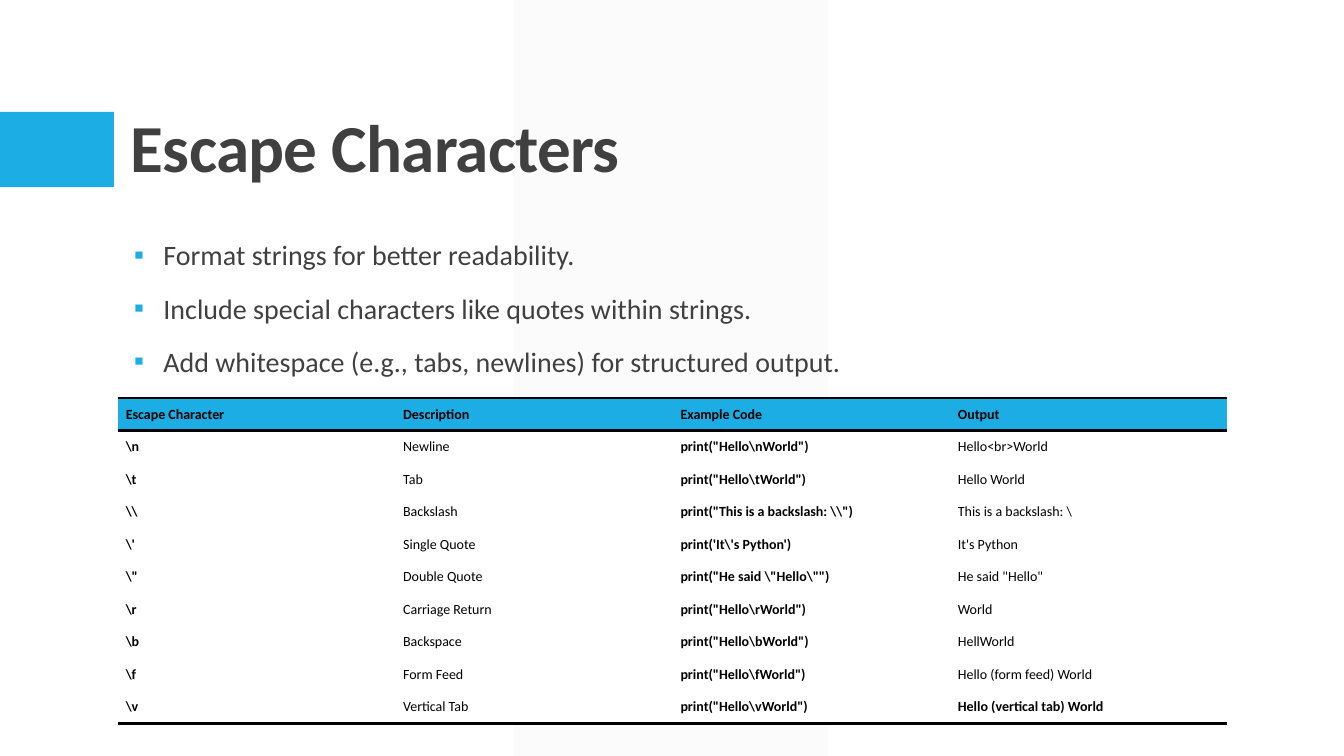
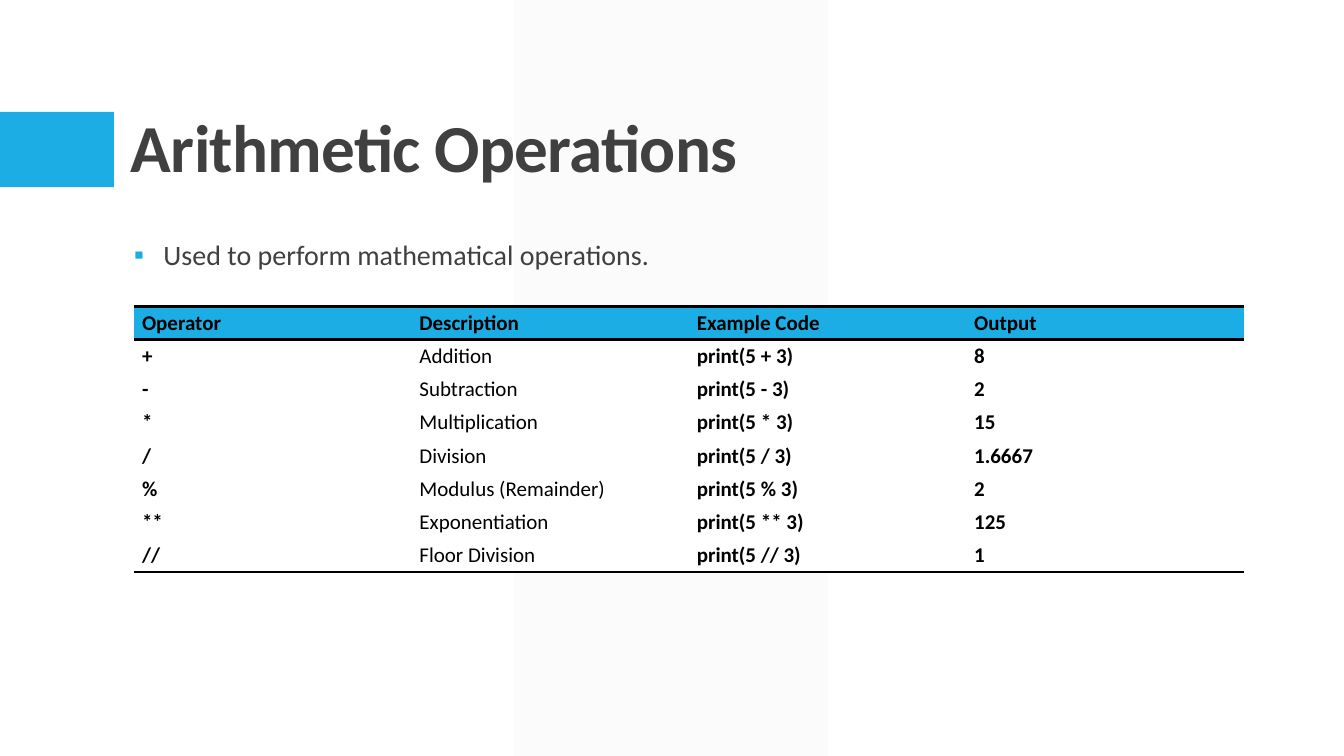
"""Build two slides on Python escape characters and arithmetic operators."""
from lxml import etree
from pptx import Presentation
from pptx import util as u
from pptx.dml.color import RGBColor
from pptx.enum import shapes, text
from pptx.oxml import ns

FONT = "Calibri"
ACCENT = RGBColor(0x1C, 0xAD, 0xE4)
BAND = RGBColor(0xF2, 0xF2, 0xF2)
INK = RGBColor(0x40, 0x40, 0x40)
BLACK = RGBColor(0, 0, 0)
WHITE = RGBColor(0xFF, 0xFF, 0xFF)

SLIDE_WIDTH, SLIDE_HEIGHT = u.Cm(33.87), u.Cm(19.05)
COLUMN_WIDTH = u.Cm(6.99)
PLAIN_TABLE_STYLE = "{2D5ABB26-0587-4C30-8999-92F81FD0307C}"

ESCAPES = [
    ("Escape Character", "Description", "Example Code", "Output"),
    (r"\n", "Newline", r'print("Hello\nWorld")', "Hello<br>World"),
    (r"\t", "Tab", r'print("Hello\tWorld")', "Hello World"),
    (r"\\", "Backslash", r'print("This is a backslash: \\")', "This is a backslash: \\"),
    (r"\'", "Single Quote", r"print('It\'s Python')", "It's Python"),
    (r'\"', "Double Quote", r'print("He said \"Hello\"")', 'He said "Hello"'),
    (r"\r", "Carriage Return", r'print("Hello\rWorld")', "World"),
    (r"\b", "Backspace", r'print("Hello\bWorld")', "HellWorld"),
    (r"\f", "Form Feed", r'print("Hello\fWorld")', "Hello (form feed) World"),
    (r"\v", "Vertical Tab", r'print("Hello\vWorld")', "Hello (vertical tab) World"),
]
OPERATORS = [
    ("Operator", "Description", "Example Code", "Output"),
    ("+", "Addition", "print(5 + 3)", "8"),
    ("-", "Subtraction", "print(5 - 3)", "2"),
    ("*", "Multiplication", "print(5 * 3)", "15"),
    ("/", "Division", "print(5 / 3)", "1.6667"),
    ("%", "Modulus (Remainder)", "print(5 % 3)", "2"),
    ("**", "Exponentiation", "print(5 ** 3)", "125"),
    ("//", "Floor Division", "print(5 // 3)", "1"),
]


def add_xml(parent, tag, **attributes):
    return etree.SubElement(parent, ns.qn(tag), attributes)


def add_color(parent, color):
    return add_xml(add_xml(parent, "a:solidFill"), "a:srgbClr", val=str(color))


def write(paragraph, content, size, color=INK, bold=False, tracking=None):
    run = paragraph.add_run()
    run.text = content
    run.font.name = FONT
    run.font.size = u.Pt(size)
    run.font.bold = bold
    run.font.color.rgb = color
    if tracking is not None:
        run.font._element.set("spc", str(tracking))


def add_block(slide, preset, left, top, width, height, color):
    block = slide.shapes.add_shape(preset, left, top, width, height)
    block.shadow.inherit = False
    block.fill.solid()
    block.fill.fore_color.rgb = color
    block.line.fill.background()
    return block


def add_frame(slide, left, top, width, height):
    frame = slide.shapes.add_textbox(left, top, width, height).text_frame
    frame.word_wrap = True
    return frame


def add_backdrop(slide):
    band = add_block(slide, shapes.MSO_SHAPE.PARALLELOGRAM,
                     u.Cm(12.95), 0, u.Cm(7.92), SLIDE_HEIGHT, BAND)
    band.adjustments[0] = 0
    tint = band.fill._xPr.find(ns.qn("a:solidFill"))[0]
    add_xml(tint, "a:alpha", val="30000")
    add_block(slide, shapes.MSO_SHAPE.RECTANGLE,
              0, u.Cm(2.82), u.Cm(2.87), u.Cm(1.9), ACCENT)


def add_title(slide, title):
    frame = add_frame(slide, u.Cm(3.05), u.Cm(0.79), u.Cm(27.94), u.Cm(4.04))
    frame.vertical_anchor = text.MSO_ANCHOR.BOTTOM
    heading = frame.paragraphs[0]
    heading.line_spacing = 0.9
    write(heading, title, 48, bold=True, tracking=-50)


def add_bullets(slide, points):
    frame = add_frame(slide, u.Cm(3.38), u.Cm(5.87), u.Cm(24.69), u.Cm(10.44))
    frame.margin_left = frame.margin_right = 0
    for index, point in enumerate(points):
        paragraph = frame.add_paragraph() if index else frame.paragraphs[0]
        paragraph.space_before, paragraph.space_after = u.Pt(12), u.Pt(2)
        properties = paragraph._p.get_or_add_pPr()
        indent = u.Cm(0.74)
        properties.set("marL", str(indent))
        properties.set("indent", str(-indent))
        add_color_tag = add_xml(properties, "a:buClr")
        add_xml(add_color_tag, "a:srgbClr", val=str(ACCENT))
        add_xml(properties, "a:buFont", typeface=FONT)
        add_xml(properties, "a:buChar", char="▪")
        write(paragraph, point, 20)


def add_rule(cell, side):
    rule = add_xml(cell._tc.get_or_add_tcPr(), side, w=str(u.Pt(2)))
    add_color(rule, BLACK)


def fill_cell(cell, content, size, bold, is_header, is_last):
    cell.vertical_anchor = text.MSO_ANCHOR.MIDDLE
    cell.margin_left = cell.margin_right = u.Cm(0.2)
    cell.margin_top = cell.margin_bottom = u.Cm(0.1)
    if is_header:
        add_rule(cell, "a:lnT")
    if is_header or is_last:
        add_rule(cell, "a:lnB")
    cell.fill.solid()
    cell.fill.fore_color.rgb = ACCENT if is_header else WHITE
    write(cell.text_frame.paragraphs[0], content, size, BLACK, bold)


def add_reference(slide, entries, left, top, row_height, size, plain_outputs):
    columns = len(entries[0])
    table = slide.shapes.add_table(len(entries), columns, left, top,
                                   COLUMN_WIDTH * columns,
                                   row_height * len(entries)).table
    table._tbl.tblPr.find(ns.qn("a:tableStyleId")).text = PLAIN_TABLE_STYLE
    table.horz_banding = False
    for column in table.columns:
        column.width = COLUMN_WIDTH
    for r, entry in enumerate(entries):
        table.rows[r].height = row_height
        plain_columns = {1, 3} if r <= plain_outputs else {1}
        for c, content in enumerate(entry):
            bold = r == 0 or c not in plain_columns
            fill_cell(table.cell(r, c), content, size, bold,
                      r == 0, r == len(entries) - 1)


def add_topic(deck, title, points):
    slide = deck.slides.add_slide(deck.slide_layouts[6])
    add_backdrop(slide)
    add_title(slide, title)
    add_bullets(slide, points)
    return slide


def main():
    deck = Presentation()
    deck.slide_width, deck.slide_height = SLIDE_WIDTH, SLIDE_HEIGHT

    escapes = add_topic(deck, "Escape Characters", [
        "Format strings for better readability.",
        "Include special characters like quotes within strings.",
        "Add whitespace (e.g., tabs, newlines) for structured output.",
    ])
    add_reference(escapes, ESCAPES, u.Cm(2.97), u.Cm(10.03), u.Cm(0.82),
                  size=10, plain_outputs=8)

    arithmetic = add_topic(deck, "Arithmetic Operations",
                           ["Used to perform mathematical operations."])
    add_reference(arithmetic, OPERATORS, u.Cm(3.38), u.Cm(7.72), u.Cm(0.82),
                  size=15, plain_outputs=0)

    deck.save("out.pptx")


if __name__ == "__main__":
    main()
